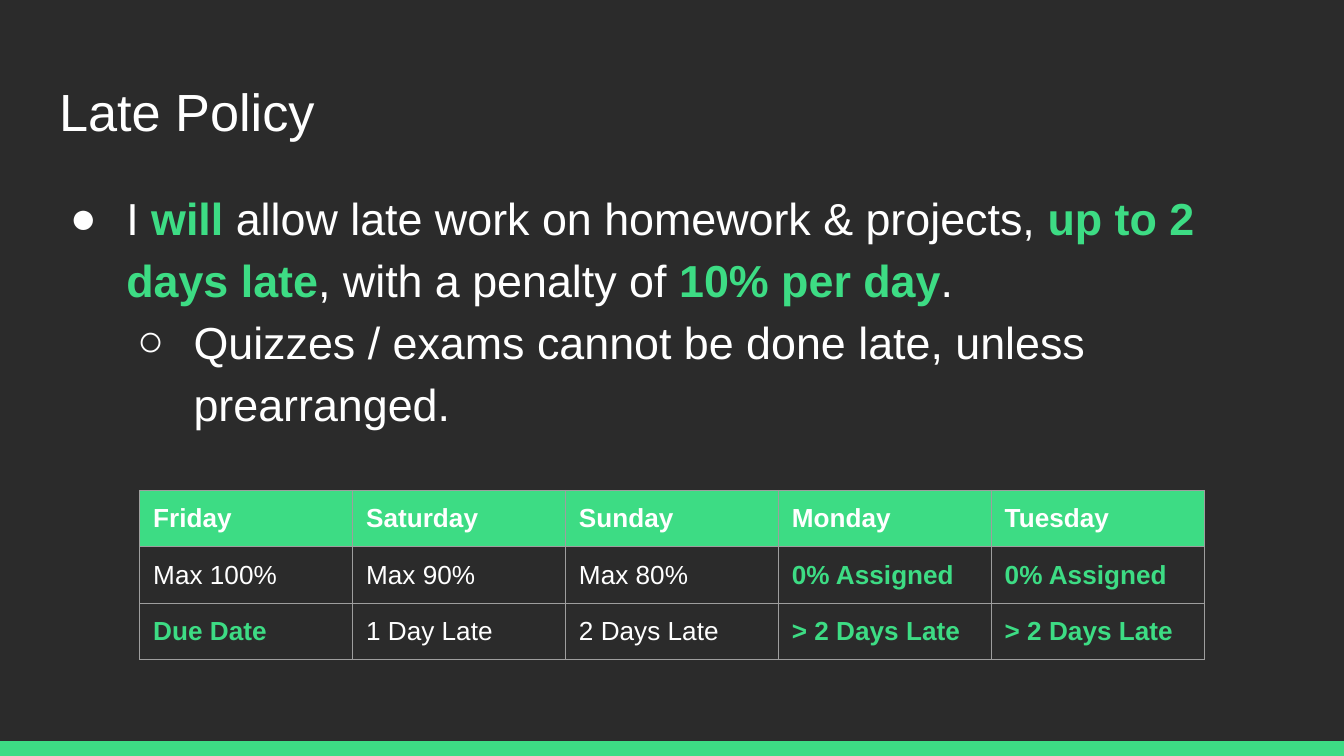
import pptx
import pptx.dml.color
import pptx.enum.shapes
import pptx.enum.text
import pptx.oxml.ns
import pptx.util
from lxml import etree

Inches, Pt = pptx.util.Inches, pptx.util.Pt
qn = pptx.oxml.ns.qn
COLORS = {"background": "2B2B2B", "accent": "3DDC84", "text": "FFFFFF", "border": "9E9E9E"}
FONT = "Arial"
INSET = 0.1
BULLETS = "●○"
SLIDE_W = 10
SLIDE_H = SLIDE_W * 9 / 16

POLICY = [
    (0, [("I ", False), ("will", True), (" allow late work on homework & projects, ", False),
         ("up to 2 days late", True), (", with a penalty of ", False),
         ("10% per day", True), (".", False)]),
    (1, [("Quizzes / exams cannot be done late, unless prearranged.", False)]),
]
SCHEDULE = [
    ["Friday", "Saturday", "Sunday", "Monday", "Tuesday"],
    ["Max 100%", "Max 90%", "Max 80%", "0% Assigned", "0% Assigned"],
    ["Due Date", "1 Day Late", "2 Days Late", "> 2 Days Late", "> 2 Days Late"],
]
HIGHLIGHTS = {"0% Assigned", "Due Date", "> 2 Days Late"}


def rgb(name):
    return pptx.dml.color.RGBColor.from_string(COLORS[name])


def add_run(p, text, size, color="text", bold=False):
    r = p.add_run()
    r.text = text
    r.font.name, r.font.size, r.font.bold = FONT, Pt(size), bold
    r.font.color.rgb = rgb(color)


def place(sp, box):
    """Move a placeholder to box and return its text frame, ready to fill."""
    sp.left, sp.top, sp.width, sp.height = map(Inches, box)
    tf = sp.text_frame
    tf.margin_left = tf.margin_right = tf.margin_top = tf.margin_bottom = Inches(INSET)
    tf.word_wrap = True
    tf.auto_size = pptx.enum.text.MSO_AUTO_SIZE.NONE
    tf.vertical_anchor = pptx.enum.text.MSO_ANCHOR.TOP
    return tf


def add_title(s, box, text):
    p = place(s.shapes.title, box).paragraphs[0]
    p.alignment = pptx.enum.text.PP_ALIGN.LEFT
    add_run(p, text, 28)


def set_bullet(p, level):
    pPr = p._p.get_or_add_pPr()
    pPr.set("marL", str(Inches(0.5 * (level + 1))))
    pPr.set("indent", str(Inches(-0.42)))
    color = etree.SubElement(pPr, qn("a:buClr"))
    etree.SubElement(color, qn("a:srgbClr"), val=COLORS["text"])
    etree.SubElement(pPr, qn("a:buFont"), typeface=FONT)
    etree.SubElement(pPr, qn("a:buChar"), char=BULLETS[level])


def add_policy(s, box, items):
    tf = place(s.placeholders[1], box)
    for i, (level, runs) in enumerate(items):
        p = tf.add_paragraph() if i else tf.paragraphs[0]
        set_bullet(p, level)
        p.level = level
        p.line_spacing = 1.15
        p.space_before = p.space_after = Pt(0)
        for text, strong in runs:
            add_run(p, text, 24, "accent" if strong else "text", strong)


def set_borders(cell):
    tcPr = cell._tc.get_or_add_tcPr()
    for i, side in enumerate("LRTB"):
        ln = etree.Element(qn(f"a:ln{side}"), w=str(Pt(0.75)))
        fill = etree.SubElement(ln, qn("a:solidFill"))
        etree.SubElement(fill, qn("a:srgbClr"), val=COLORS["border"])
        tcPr.insert(i, ln)


def add_schedule(s, box, rows):
    table = s.shapes.add_table(len(rows), len(rows[0]), *map(Inches, box)).table
    table.first_row = table.horz_banding = False
    for i, row in enumerate(rows):
        for j, text in enumerate(row):
            cell = table.cell(i, j)
            cell.margin_left = cell.margin_right = Inches(INSET)
            cell.margin_top = cell.margin_bottom = Inches(INSET)
            header, strong = i == 0, text in HIGHLIGHTS
            if header:
                cell.fill.solid()
                cell.fill.fore_color.rgb = rgb("accent")
            else:
                cell.fill.background()
            set_borders(cell)
            add_run(cell.text_frame.paragraphs[0], text, 14,
                    "accent" if strong else "text", header or strong)


def add_footer_bar(s, box):
    sp = s.shapes.add_shape(pptx.enum.shapes.MSO_SHAPE.RECTANGLE, *map(Inches, box))
    sp.shadow.inherit = False
    sp.fill.solid()
    sp.fill.fore_color.rgb = rgb("accent")
    sp.line.fill.background()


def main():
    prs = pptx.Presentation()
    prs.slide_width, prs.slide_height = Inches(SLIDE_W), Inches(SLIDE_H)
    s = prs.slides.add_slide(prs.slide_layouts[1])
    s.background.fill.solid()
    s.background.fill.fore_color.rgb = rgb("background")
    bar_h = 0.11
    add_footer_bar(s, (0, SLIDE_H - bar_h, SLIDE_W, bar_h))
    add_title(s, (0.34, 0.49, 9.32, 0.63), "Late Policy")
    add_policy(s, (0.34, 1.26, 9.32, 1.2), POLICY)
    add_schedule(s, (1.04, 3.65, 7.92, 1.25), SCHEDULE)
    prs.save("out.pptx")


if __name__ == "__main__":
    main()
